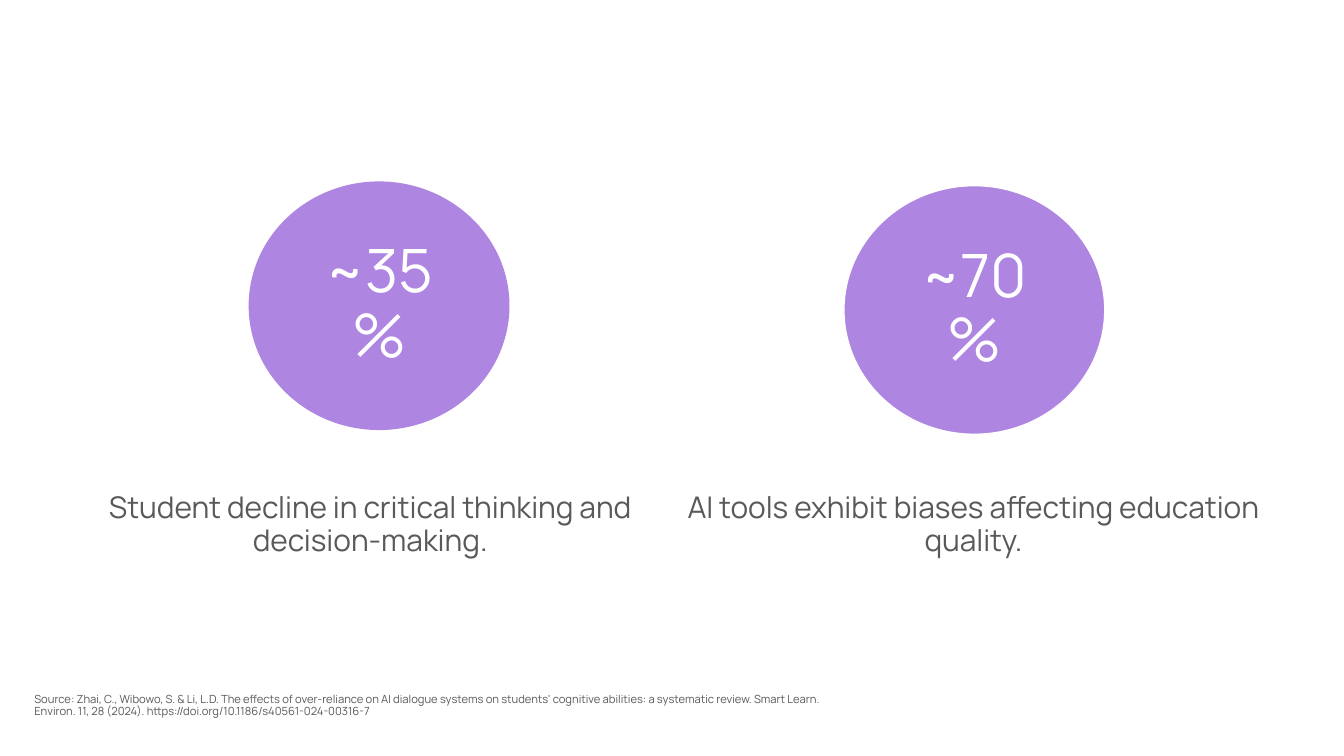
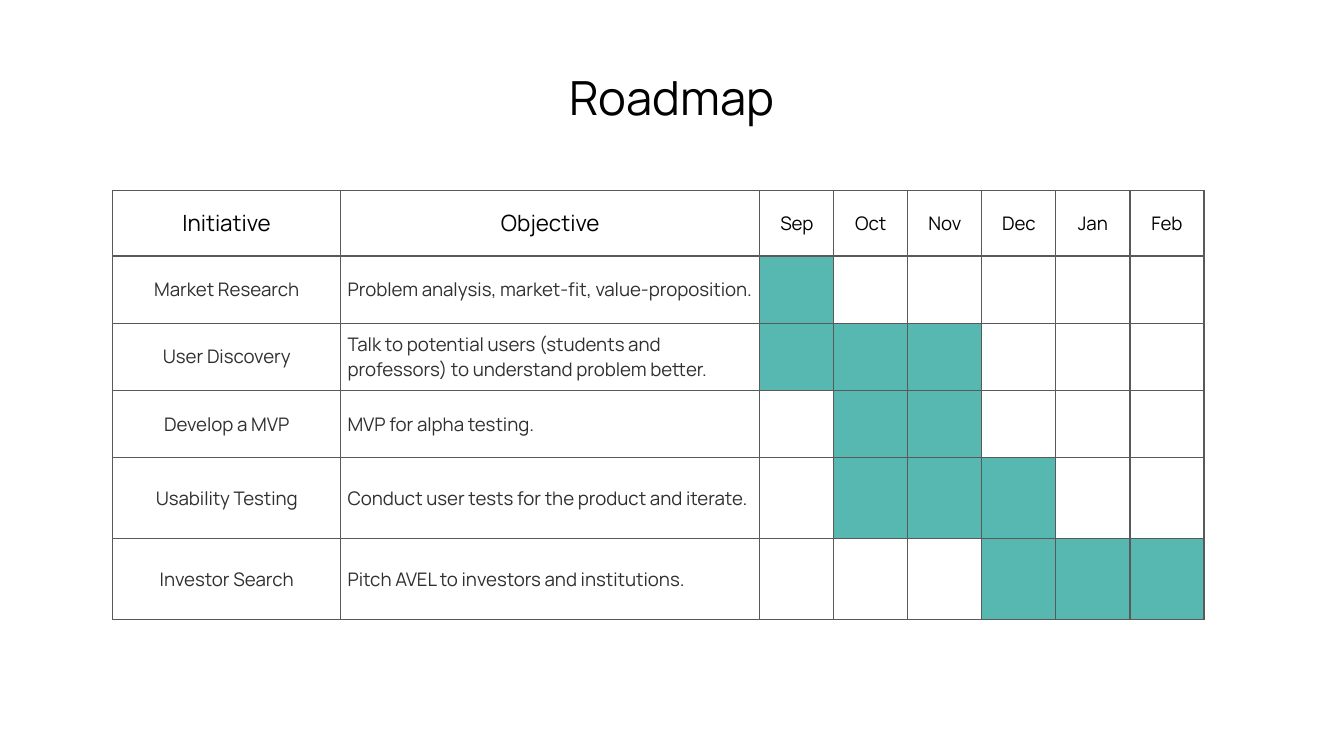
from lxml.etree import SubElement
from pptx import Presentation
from pptx.dml.color import RGBColor
from pptx.enum.shapes import MSO_SHAPE
from pptx.enum.text import MSO_ANCHOR, MSO_AUTO_SIZE, PP_ALIGN
from pptx.oxml.ns import qn
from pptx.util import Cm, Pt

FONT = "Manrope"
COLORS = {
    "white": "FFFFFF",
    "black": "000000",
    "grey": "595959",
    "dark": "303030",
    "purple": "AF85E2",
    "teal": "56B8B0",
}
INSET = 0.25
TITLE_BOX = (0.86, 1.12, 23.67, 1.6)

# Statistics: panel box, circle offset in the panel, outlined, figure, caption
STATISTICS = [
    ((1.3, 3.43, 11.4, 7.44), (3.4, 0), False, "~35%",
     "Student decline in critical thinking and decision-making."),
    ((12.7, 3.43, 11.4, 7.44), (3.25, 0.08), True, "~70%",
     "AI tools exhibit biases affecting education quality."),
]
SOURCE = (
    "Source: Zhai, C., Wibowo, S. & Li, L.D. The effects of over-reliance on AI "
    "dialogue systems on students' cognitive abilities: a systematic review. "
    "Smart Learn. Environ. 11, 28 (2024). https://doi.org/10.1186/s40561-024-00316-7"
)

# Roadmap: initiative, objective, first and last active month
MONTHS = ["Sep", "Oct", "Nov", "Dec", "Jan", "Feb"]
INITIATIVES = [
    ("Market Research", "Problem analysis, market-fit, value-proposition.", "Sep", "Sep"),
    ("User Discovery", "Talk to potential users (students and professors) to "
     "understand problem better.", "Sep", "Nov"),
    ("Develop a MVP", "MVP for alpha testing.", "Oct", "Nov"),
    ("Usability Testing", "Conduct user tests for the product and iterate.", "Oct", "Dec"),
    ("Investor Search", "Pitch AVEL to investors and institutions.", "Dec", "Feb"),
]
COLUMN_WIDTHS = [4.31, 7.92] + [1.4] * len(MONTHS)
ROW_HEIGHTS = [1.24, 1.27, 1.27, 1.27, 1.53, 1.53]


def color(name):
    return RGBColor.from_string(COLORS[name])


def set_margins(target, margin):
    target.margin_left = target.margin_right = Cm(margin)
    target.margin_top = target.margin_bottom = Cm(margin)


def write(text_frame, text, size, color_name, align=PP_ALIGN.CENTER, spacing=None):
    text_frame.text = text
    paragraph = text_frame.paragraphs[0]
    paragraph.alignment = align
    paragraph.line_spacing = spacing
    paragraph.font.name = FONT
    paragraph.font.size = Pt(size)
    paragraph.font.color.rgb = color(color_name)


def add_text(slide, box, text, size, align=PP_ALIGN.CENTER):
    text_frame = slide.shapes.add_textbox(*map(Cm, box)).text_frame
    text_frame.word_wrap = True
    text_frame.auto_size = MSO_AUTO_SIZE.SHAPE_TO_FIT_TEXT
    text_frame.vertical_anchor = MSO_ANCHOR.MIDDLE
    set_margins(text_frame, INSET)
    write(text_frame, text, size, "grey", align, 0.9)


def add_title(slide, text):
    title = slide.shapes.title
    title.left, title.top, title.width, title.height = map(Cm, TITLE_BOX)
    text_frame = title.text_frame
    text_frame.auto_size = MSO_AUTO_SIZE.NONE
    text_frame.vertical_anchor = MSO_ANCHOR.TOP
    set_margins(text_frame, INSET)
    write(text_frame, text, 25.2, "black", spacing=0.95)


def add_statistic(slide, box, circle_offset, outlined, figure, caption):
    left, top, width, height = box

    # Circle with the figure
    offset_x, offset_y = circle_offset
    circle = slide.shapes.add_shape(
        MSO_SHAPE.OVAL, Cm(left + offset_x), Cm(top + offset_y), Cm(4.93), Cm(4.7))
    circle.shadow.inherit = False
    circle.fill.solid()
    circle.fill.fore_color.rgb = color("purple")
    if outlined:
        circle.line.color.rgb = color("white")
        circle.line.width = Pt(0.75)
    else:
        circle.line.fill.background()
    circle.text_frame.word_wrap = True
    circle.text_frame.vertical_anchor = MSO_ANCHOR.MIDDLE
    set_margins(circle.text_frame, INSET)
    write(circle.text_frame, figure, 32, "white", spacing=0.9)

    # Caption at the foot of the panel
    caption_height = 1.88
    add_text(slide, (left, top + height - caption_height, width, caption_height),
             caption, 16)


def format_cell(cell, fill_name, margin):
    cell.fill.solid()
    cell.fill.fore_color.rgb = color(fill_name)
    cell.vertical_anchor = MSO_ANCHOR.MIDDLE
    set_margins(cell, margin)
    # Borders come before the fill in the cell properties
    properties = cell._tc.get_or_add_tcPr()
    for index, side in enumerate(("lnL", "lnR", "lnT", "lnB")):
        line = SubElement(properties, qn(f"a:{side}"), w=str(Pt(0.75)))
        fill = SubElement(line, qn("a:solidFill"))
        SubElement(fill, qn("a:srgbClr"), val=COLORS["grey"])
        properties.insert(index, line)


def add_roadmap(slide, left, top):
    table = slide.shapes.add_table(
        len(ROW_HEIGHTS), len(COLUMN_WIDTHS), Cm(left), Cm(top),
        Cm(sum(COLUMN_WIDTHS)), Cm(sum(ROW_HEIGHTS))).table
    table.first_row = table.horz_banding = False
    for column, width in zip(table.columns, COLUMN_WIDTHS):
        column.width = Cm(width)
    for row, height in zip(table.rows, ROW_HEIGHTS):
        row.height = Cm(height)

    # Header
    for index, heading in enumerate(["Initiative", "Objective"] + MONTHS):
        cell = table.cell(0, index)
        format_cell(cell, "white", 0)
        write(cell.text_frame, heading, 12 if index < 2 else 10, "black")

    # Initiatives and their active months
    for row, (name, objective, first, last) in enumerate(INITIATIVES, start=1):
        for column, (text, align) in enumerate(
                [(name, PP_ALIGN.CENTER), (objective, PP_ALIGN.LEFT)]):
            cell = table.cell(row, column)
            format_cell(cell, "white", 0.13)
            write(cell.text_frame, text, 10, "dark", align)
        active = range(MONTHS.index(first), MONTHS.index(last) + 1)
        for month in range(len(MONTHS)):
            format_cell(table.cell(row, month + 2),
                        "teal" if month in active else "white", 0.13)


def build_statistics_slide(presentation):
    slide = presentation.slides.add_slide(presentation.slide_layouts[6])
    for statistic in STATISTICS:
        add_statistic(slide, *statistic)
    add_text(slide, (0.4, 12.83, 15.85, 1.02), SOURCE, 6, PP_ALIGN.LEFT)


def build_roadmap_slide(presentation):
    slide = presentation.slides.add_slide(presentation.slide_layouts[5])
    add_title(slide, "Roadmap")
    add_roadmap(slide, 2.13, 3.6)


def main():
    presentation = Presentation()
    presentation.slide_width = Cm(25.4)
    presentation.slide_height = Cm(14.29)
    build_statistics_slide(presentation)
    build_roadmap_slide(presentation)
    presentation.save("out.pptx")


if __name__ == "__main__":
    main()
